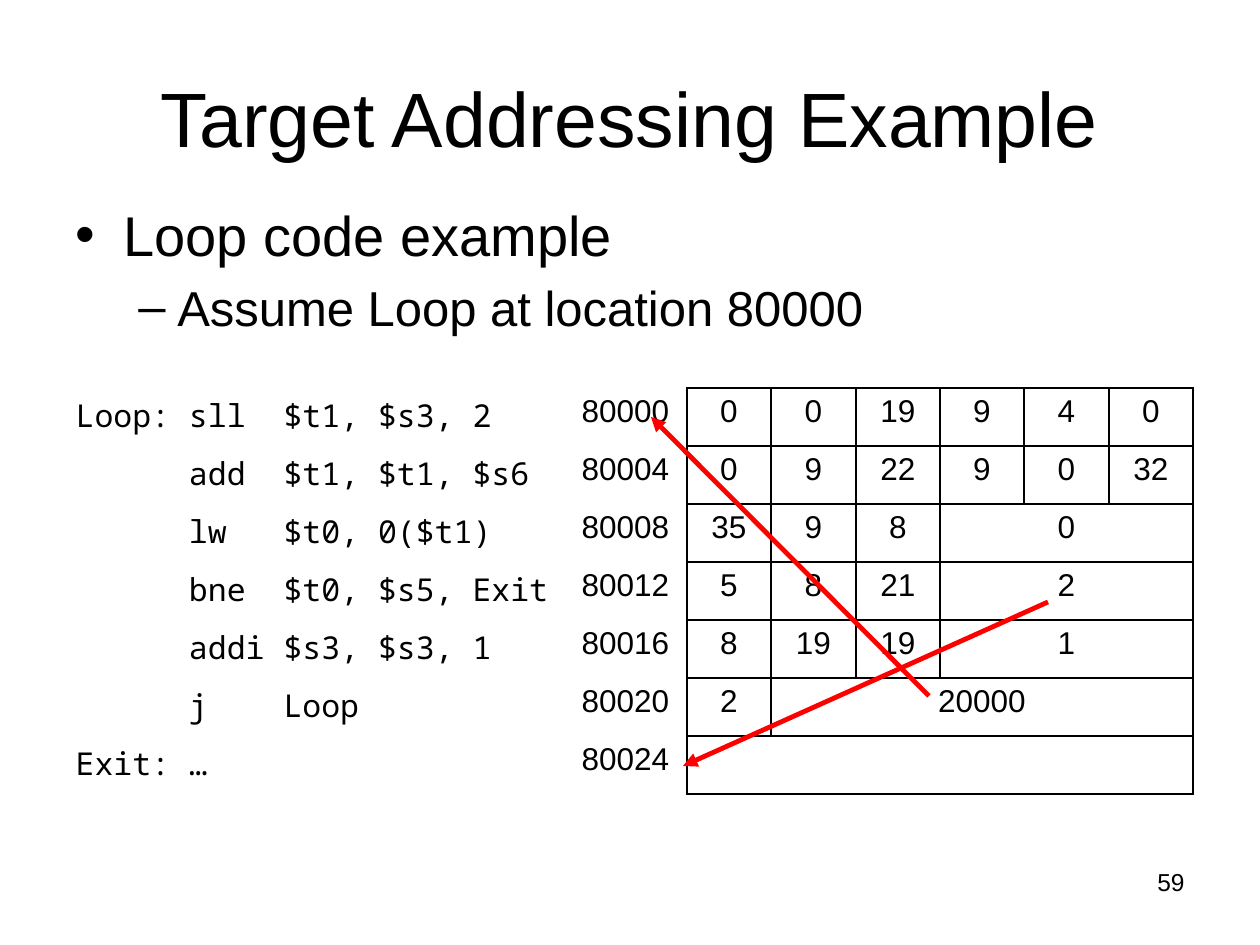
from lxml import etree
from pptx import Presentation
from pptx.dml.color import RGBColor
from pptx.enum.shapes import MSO_CONNECTOR
from pptx.enum.text import MSO_ANCHOR, PP_ALIGN
from pptx.oxml.ns import qn
from pptx.util import Pt

SCALE = 914400 / 126
BLACK = RGBColor(0, 0, 0)
WHITE = RGBColor(255, 255, 255)
RED = RGBColor(255, 0, 0)
SANS = "Arial"
MONO = "Noto Sans Mono"
LEFT, CENTER, RIGHT = PP_ALIGN.LEFT, PP_ALIGN.CENTER, PP_ALIGN.RIGHT
TOP, MIDDLE = MSO_ANCHOR.TOP, MSO_ANCHOR.MIDDLE
STRAIGHT = MSO_CONNECTOR.STRAIGHT

START, STEP = 80000, 4
FIELDS = 6
FIELDS_W = 506
ROW_H = 58
# Code line and its fields; the last field runs to the right edge.
LINES = [
    ("Loop: sll  $t1, $s3, 2", [0, 0, 19, 9, 4, 0]),
    ("      add  $t1, $t1, $s6", [0, 9, 22, 9, 0, 32]),
    ("      lw   $t0, 0($t1)", [35, 9, 8, 0]),
    ("      bne  $t0, $s5, Exit", [5, 8, 21, 2]),
    ("      addi $s3, $s3, 1", [8, 19, 19, 1]),
    ("      j    Loop", [2, 20000]),
    ("Exit: …", [""]),
]
ARROWS = [(929, 696, 651, 417), (1048, 602, 683, 766)]


def px(num):
    return round(num * SCALE)


def write(para, text, size=18, font=SANS, align=LEFT, mark=None,
          inset=0, hang=0, level=0, before=0):
    para.level = level
    para.alignment = align
    para.space_before = Pt(before)
    if mark:
        props = para._p.get_or_add_pPr()
        props.set("marL", str(px(inset)))
        props.set("indent", str(-px(hang)))
        etree.SubElement(props, qn("a:buFont")).set("typeface", SANS)
        etree.SubElement(props, qn("a:buChar")).set("char", mark)
    run = para.add_run()
    run.text = text
    run.font.size = Pt(size)
    run.font.name = font
    run.font.color.rgb = BLACK


def add_box(slide, left, top, width, height, anchor=TOP):
    box = slide.shapes.add_textbox(px(left), px(top), px(width), px(height))
    frame = box.text_frame
    frame.word_wrap = True
    frame.vertical_anchor = anchor
    return frame


def style_cell(cell, color, right=None):
    """Draw the cell's four borders and clear its fill."""
    props = cell._tc.get_or_add_tcPr()
    for side in "LRTB":
        line = etree.SubElement(props, qn("a:ln" + side), w=str(Pt(1)))
        fill = etree.SubElement(line, qn("a:solidFill"))
        tint = right if side == "R" and right else color
        etree.SubElement(fill, qn("a:srgbClr"), val=str(tint))
    cell.fill.background()


def add_listing(slide):
    """Add the table of code, addresses and instruction fields."""
    edges = [round(FIELDS_W * i / FIELDS) for i in range(FIELDS + 1)]
    widths = [506, 118] + [b - a for a, b in zip(edges, edges[1:])]
    table = slide.shapes.add_table(
        len(LINES), len(widths), px(63), px(388),
        px(sum(widths)), px(ROW_H * len(LINES))).table
    table.first_row = table.horz_banding = False
    for col, width in zip(table.columns, widths):
        col.width = px(width)
    for i, (code, nums) in enumerate(LINES):
        table.rows[i].height = px(ROW_H)
        cells = [table.cell(i, j) for j in range(len(widths))]
        style_cell(cells[0], WHITE)
        style_cell(cells[1], WHITE, right=BLACK)
        for cell in cells[2:]:
            style_cell(cell, BLACK)
        last = cells[1 + len(nums)]
        if len(nums) < FIELDS:
            last.merge(cells[-1])
        write(cells[0].text_frame.paragraphs[0], code, font=MONO)
        write(cells[1].text_frame.paragraphs[0], str(START + STEP * i))
        for cell, num in zip(cells[2:], nums):
            if num != "":
                write(cell.text_frame.paragraphs[0], str(num), align=CENTER)


def add_arrow(slide, *ends):
    arrow = slide.shapes.add_connector(STRAIGHT, *map(px, ends))
    arrow.line.color.rgb = RED
    arrow.line.width = Pt(2.75)
    line = arrow.line._get_or_add_ln()
    etree.SubElement(line, qn("a:tailEnd"), type="triangle")
    etree.SubElement(arrow._element.spPr, qn("a:effectLst"))


def main():
    deck = Presentation()
    deck.slide_width, deck.slide_height = px(1260), px(945)
    slide = deck.slides.add_slide(deck.slide_layouts[6])

    title = add_box(slide, 63, 38, 1134, 158, MIDDLE)
    write(title.paragraphs[0], "Target Addressing Example",
          size=44, align=CENTER)

    body = add_box(slide, 63, 194, 1140, 169)
    write(body.paragraphs[0], "Loop code example", size=32,
          mark="•", inset=48, hang=48)
    write(body.add_paragraph(), "Assume Loop at location 80000", size=28,
          mark="–", inset=102, hang=39, level=1, before=5.6)

    add_listing(slide)
    for ends in ARROWS:
        add_arrow(slide, *ends)

    number = add_box(slide, 903, 861, 294, 66)
    write(number.paragraphs[0], "59", size=14, align=RIGHT)
    deck.save("out.pptx")


if __name__ == "__main__":
    main()
